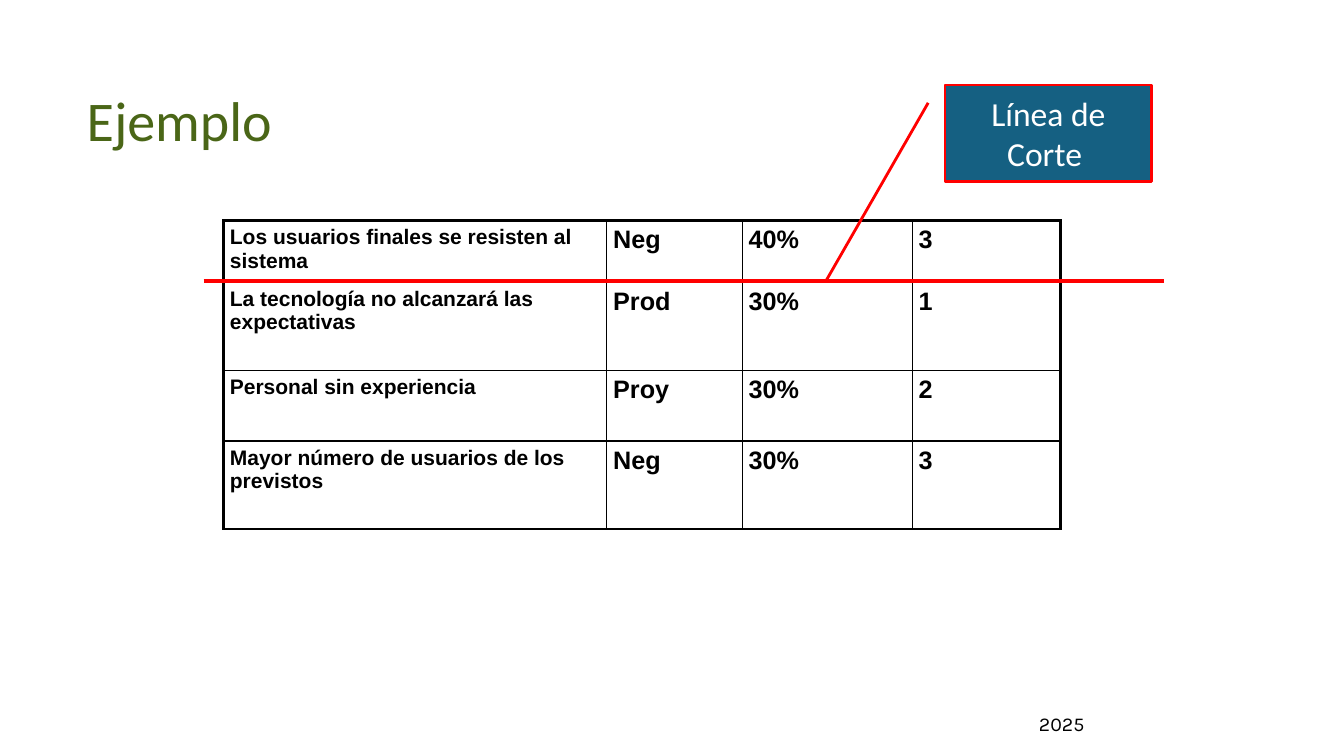
import pptx
import pptx.dml.color
import pptx.enum.shapes
import pptx.enum.text
import pptx.oxml
import pptx.oxml.ns
import pptx.util

PX = 9525
BLACK = pptx.dml.color.RGBColor(0x00, 0x00, 0x00)
WHITE = pptx.dml.color.RGBColor(0xFF, 0xFF, 0xFF)
GREEN = pptx.dml.color.RGBColor(0x4A, 0x66, 0x17)
RED = pptx.dml.color.RGBColor(0xFF, 0x00, 0x00)
TEAL = pptx.dml.color.RGBColor(0x15, 0x60, 0x82)

LEFT = pptx.enum.text.PP_ALIGN.LEFT
CENTER = pptx.enum.text.PP_ALIGN.CENTER
MIDDLE = pptx.enum.text.MSO_ANCHOR.MIDDLE

RISKS = [
    ("Los usuarios finales se resisten al sistema", "Neg", "40%", "3"),
    ("La tecnología no alcanzará las expectativas", "Prod", "30%", "1"),
    ("Personal sin experiencia", "Proy", "30%", "2"),
    ("Mayor número de usuarios de los previstos", "Neg", "30%", "3"),
]
COLUMN_WIDTHS = [365, 129, 162, 141]
ROW_HEIGHTS = [59, 84, 67, 84]
OUTER_BORDER = 2.25
INNER_BORDER = 1


def px(*lengths):
    return [pptx.util.Emu(length * PX) for length in lengths]


def apply_format(target, values):
    for attribute, value in values.items():
        setattr(target, attribute, value)


def write_text(frame, text, font_name, size, color, bold=False, align=LEFT):
    frame.text = text
    paragraph = frame.paragraphs[0]
    paragraph.alignment = align
    font = paragraph.runs[0].font
    apply_format(font, {"name": font_name, "size": pptx.util.Pt(size), "bold": bold})
    font.color.rgb = color
    return paragraph


def add_title(slide, text):
    title = slide.shapes.title
    left, top, width, height = px(73, 52, 851, 133)
    apply_format(title, {"left": left, "top": top, "width": width, "height": height})
    apply_format(title.text_frame, {
        "vertical_anchor": MIDDLE,
        "word_wrap": True,
        "auto_size": pptx.enum.text.MSO_AUTO_SIZE.NONE,
    })
    paragraph = write_text(title.text_frame, text, "Calibri", 40, GREEN)
    paragraph.line_spacing = 0.85


def add_year(slide, text):
    year = slide.shapes.add_textbox(*px(980, 673, 242, 33))
    year.text_frame.word_wrap = True
    write_text(year.text_frame, text, "Karla", 14, BLACK)


def set_borders(cell, widths):
    properties = cell._tc.get_or_add_tcPr()
    for position, (side, width) in enumerate(widths.items()):
        border = pptx.oxml.parse_xml(
            f'<a:ln{side} {pptx.oxml.ns.nsdecls("a")} w="{pptx.util.Pt(width)}">'
            f'<a:solidFill><a:srgbClr val="{BLACK}"/></a:solidFill></a:ln{side}>'
        )
        properties.insert(position, border)


def add_risk_table(slide):
    last_row, last_column = len(ROW_HEIGHTS) - 1, len(COLUMN_WIDTHS) - 1
    area = px(213, 210, sum(COLUMN_WIDTHS), sum(ROW_HEIGHTS))
    table = slide.shapes.add_table(last_row + 1, last_column + 1, *area).table
    apply_format(table, {"first_row": False, "horz_banding": False})
    for column, width in zip(table.columns, px(*COLUMN_WIDTHS)):
        column.width = width
    for row, height in zip(table.rows, px(*ROW_HEIGHTS)):
        row.height = height
    side, edge = px(6, 5)
    margins = {"margin_left": side, "margin_right": side,
               "margin_top": edge, "margin_bottom": edge}
    for r, risk in enumerate(RISKS):
        for c, text in enumerate(risk):
            cell = table.cell(r, c)
            apply_format(cell, margins)
            cell.fill.background()
            size = 15 if c == 0 else 18
            write_text(cell.text_frame, text, "Arial", size, BLACK, bold=True)
            outer = {"L": c == 0, "R": c == last_column, "T": r == 0, "B": r == last_row}
            set_borders(cell, {
                name: OUTER_BORDER if is_outer else INNER_BORDER
                for name, is_outer in outer.items()
            })


def add_cut_line(slide):
    cut_line = slide.shapes.add_connector(
        pptx.enum.shapes.MSO_CONNECTOR.STRAIGHT, *px(194, 268, 1109, 268))
    cut_line.line.color.rgb = RED
    cut_line.line.width = pptx.util.Pt(3)
    cut_line._element.spPr.append(
        pptx.oxml.parse_xml(f'<a:effectLst {pptx.oxml.ns.nsdecls("a")}/>'))


def add_callout(slide, text):
    left, top, width, height = 900, 81, 197, 92
    pointer = [(884, 98), (787, 267)]
    callout = slide.shapes.add_shape(
        pptx.enum.shapes.MSO_SHAPE.LINE_CALLOUT_1, *px(left, top, width, height))
    for index, (x, y) in enumerate(pointer):
        callout.adjustments[2 * index] = (y - top) / height
        callout.adjustments[2 * index + 1] = (x - left) / width
    callout.shadow.inherit = False
    callout.fill.solid()
    callout.fill.fore_color.rgb = TEAL
    callout.line.color.rgb = RED
    callout.line.width = pptx.util.Pt(2)
    apply_format(callout.text_frame, {"word_wrap": True, "vertical_anchor": MIDDLE})
    write_text(callout.text_frame, text, "Calibri", 24, WHITE, align=CENTER)


def main():
    presentation = pptx.Presentation()
    slide_width, slide_height = px(1280, 720)
    apply_format(presentation, {"slide_width": slide_width, "slide_height": slide_height})
    slide = presentation.slides.add_slide(presentation.slide_layouts[5])
    add_year(slide, "2025")
    add_title(slide, "Ejemplo")
    add_risk_table(slide)
    add_cut_line(slide)
    add_callout(slide, "Línea de Corte ")
    presentation.save("out.pptx")


if __name__ == "__main__":
    main()
